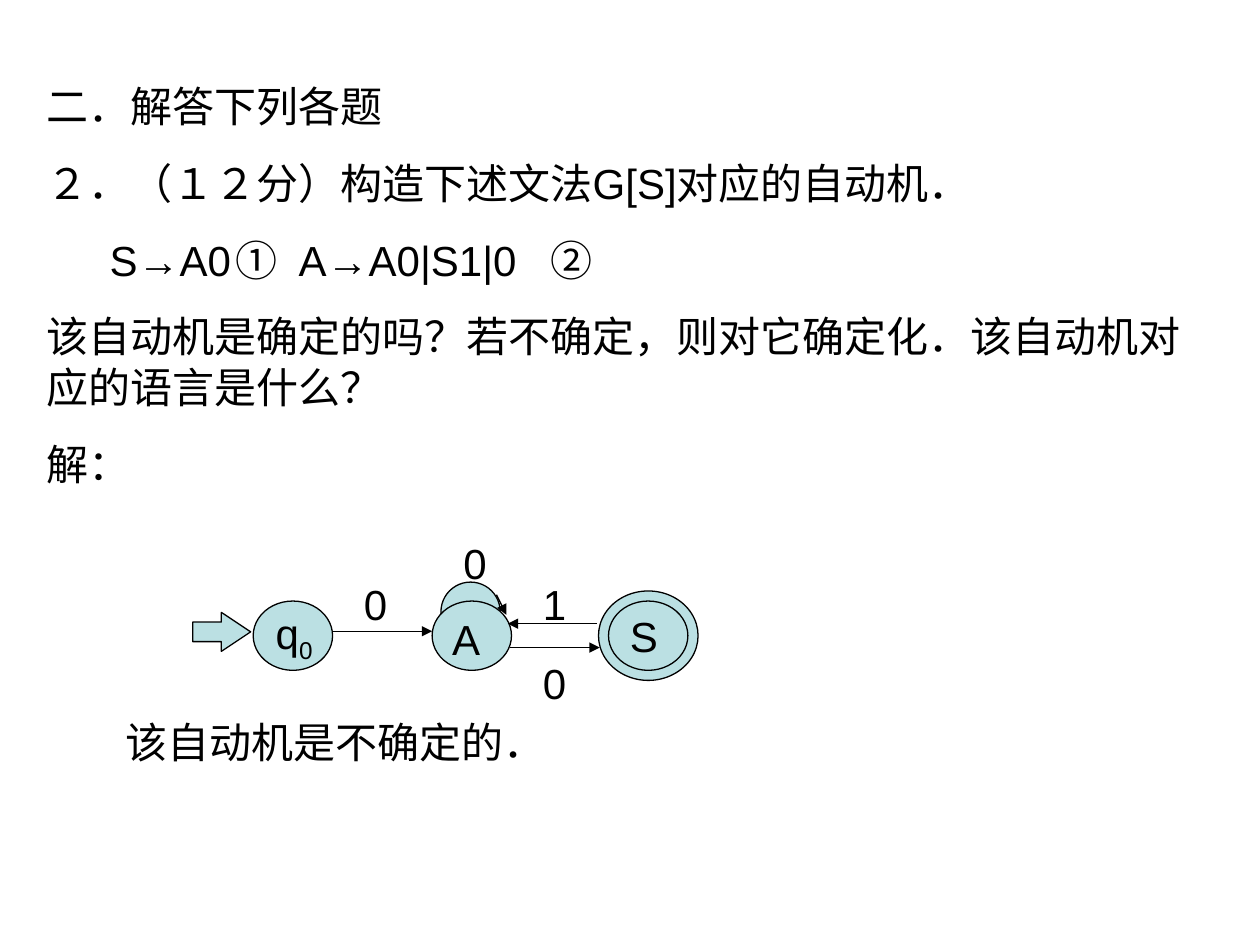
from lxml import etree
from pptx import Presentation
from pptx.dml.color import RGBColor
from pptx.enum import shapes, text
from pptx.oxml.ns import qn
from pptx.util import Pt

INK, FILL = "000000", "BBE0E3"


def write(sp, lines, box):
    """Place a text shape and fill its paragraphs, 24 pt Arial."""
    sp.left, sp.top, sp.width, sp.height = [Pt(v) for v in box]
    tf = sp.text_frame
    tf.word_wrap = True
    tf.auto_size = text.MSO_AUTO_SIZE.NONE
    tf.vertical_anchor = text.MSO_ANCHOR.TOP
    for i, line in enumerate(lines):
        p = tf.add_paragraph() if i else tf.paragraphs[0]
        p.alignment = text.PP_ALIGN.LEFT
        p.space_before = Pt(15 if i else 0)
        p.font.size, p.font.name = Pt(24), "Arial"
        p.font.color.rgb = RGBColor.from_string(INK)
        for part in line:
            p.add_run().text = part
    return tf


def outline(sp):
    sp.line.color.rgb = RGBColor.from_string(INK)
    sp.line.width = Pt(0.74)


prs = Presentation()
prs.slide_width, prs.slide_height = Pt(720), Pt(540)
s = prs.slides.add_slide(prs.slide_layouts[1])

# Heading and question
write(s.shapes.title, [["二．解答下列各题"]], (19.5, 42.5, 680, 44))
question = [
    ["２．（１２分）构造下述文法G[S]对应的自动机．"],
    ["\tS→A0\t", "①", "\tA→A0|S1|0\t", "②"],
    ["该自动机是确定的吗？若不确定，则对它确定化．该自动机对应的语言是什么？"],
    ["解："],
]
tf = write(s.placeholders[1], question, (19.5, 86.5, 680, 197))
for p in tf.paragraphs:
    pPr = p._p.get_or_add_pPr()
    pPr.set("marL", "0")
    pPr.set("indent", "0")
    pPr.find(qn("a:spcBef")).addnext(etree.Element(qn("a:buNone")))

# Tab stops align the two grammar rules and their numbers
grammar = tf.paragraphs[1]
tabs = etree.Element(qn("a:tabLst"))
for pos in (53, 135, 192, 336):
    etree.SubElement(tabs, qn("a:tab"), pos=str(Pt(pos)), algn="l")
grammar._p.pPr.find(qn("a:buNone")).addnext(tabs)
for i in (1, 3):
    grammar.runs[i].font.name = "Noto Sans CJK KR"

# Automaton: self-loop, states and start arrow
automaton = s.shapes.add_group_shape().shapes
OVAL, ARROW = shapes.MSO_SHAPE.OVAL, shapes.MSO_SHAPE.RIGHT_ARROW
for kind, x, y, w, h in [
    (OVAL, 252, 332.64, 33.84, 33.84),
    (OVAL, 144.72, 343.44, 45.36, 39.6),
    (OVAL, 246.96, 343.44, 45.36, 39.6),
    (OVAL, 342, 337.68, 56.88, 51.12),
    (OVAL, 347.76, 343.44, 45.36, 39.6),
    (ARROW, 110.16, 349.92, 33.12, 22.32),
]:
    sp = automaton.add_shape(kind, Pt(x), Pt(y), Pt(w), Pt(h))
    sp.shadow.inherit = False
    sp.fill.solid()
    sp.fill.fore_color.rgb = RGBColor.from_string(FILL)
    outline(sp)
    if kind == ARROW:
        sp.adjustments[1] = 0.75

# Transitions
for ends in [
    (190.08, 360.72, 246.96, 360.72),
    (291.6, 370.08, 342.72, 370.08),
    (341.28, 356.4, 290.16, 356.4),
    (283.68, 339.84, 289.44, 351.36),
]:
    line = automaton.add_connector(shapes.MSO_CONNECTOR.STRAIGHT, *[Pt(v) for v in ends])
    outline(line)
    etree.SubElement(line.line._get_or_add_ln(), qn("a:tailEnd"), type="triangle")
    etree.SubElement(line._element.spPr, qn("a:effectLst"))

# State names and transition symbols
for label, x, y, w in [
    (["q", "0"], 150.48, 343.44, 45.36),
    (["A"], 251.28, 347.04, 45.36),
    (["S"], 352.8, 345.6, 45.36),
    (["0"], 200.88, 326.88, 28.08),
    (["0"], 303.12, 372.24, 28.08),
    (["1"], 303.12, 326.88, 28.08),
    (["0"], 257.76, 303.84, 28.08),
]:
    tf = write(automaton.add_textbox(0, 0, 0, 0), [label], (x, y, w, 36))
    for r in tf.paragraphs[0].runs[1:]:
        r._r.get_or_add_rPr().set("baseline", "-25000")

# Conclusion
write(s.shapes.add_textbox(0, 0, 0, 0), [["该自动机是不确定的．"]], (64.8, 406, 408, 36))

prs.save("out.pptx")
